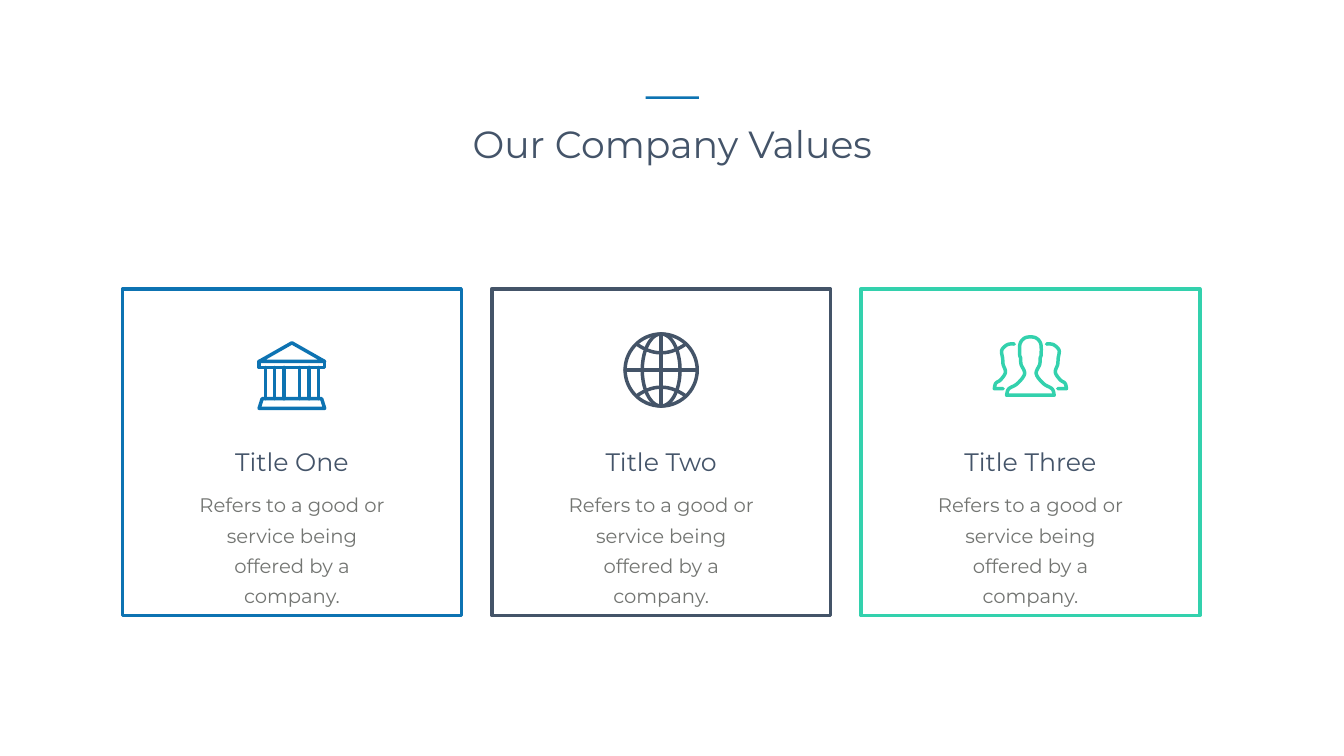
import dataclasses
import math

import lxml.etree
import pptx
import pptx.dml.color
import pptx.enum.shapes
import pptx.enum.text
import pptx.oxml.ns
import pptx.util

Pt = pptx.util.Pt


@dataclasses.dataclass(frozen=True)
class Theme:
    font: str = "Montserrat"
    blue: str = "0D73B2"
    slate: str = "445468"
    green: str = "33D1AD"
    heading: str = "445469"
    body: str = "737572"
    title_size: float = 54
    label_size: float = 36
    body_size: float = 28
    stroke: float = 5


THEME = Theme()


def rgb(value):
    return pptx.dml.color.RGBColor.from_string(value)


def place(item, left, top, width, height):
    item.left, item.top, item.width, item.height = map(Pt, (left, top, width, height))


def write(box, text, *, size, color, inset=(7.2, 3.6), wrap=True, leading=None):
    frame = box.text_frame
    frame.text = text
    frame.word_wrap = wrap
    frame.auto_size = pptx.enum.text.MSO_AUTO_SIZE.NONE
    frame.vertical_anchor = pptx.enum.text.MSO_ANCHOR.TOP
    frame.margin_left = frame.margin_right = Pt(inset[0])
    frame.margin_top = frame.margin_bottom = Pt(inset[1])
    para = frame.paragraphs[0]
    para.alignment = pptx.enum.text.PP_ALIGN.CENTER
    para.space_before = Pt(0)
    para.line_spacing = Pt(leading) if leading else 1.0
    para.font.name = THEME.font
    para.font.size = Pt(size)
    para.font.color.rgb = rgb(color)


def add_rectangle(page, left, top, width, height, fill=None, line=None):
    shape = page.shapes.add_shape(
        pptx.enum.shapes.MSO_SHAPE.RECTANGLE, *map(Pt, (left, top, width, height)))
    shape.shadow.inherit = False
    if fill:
        shape.fill.solid()
        shape.fill.fore_color.rgb = rgb(fill)
    else:
        shape.fill.background()
    if line:
        shape.line.width = Pt(THEME.stroke)
        shape.line.color.rgb = rgb(line)
    else:
        shape.line.fill.background()


def mirror(points):
    return [(-x, y) for x, y in points]


def smooth(points, steps=6):
    """Return a Catmull-Rom curve through the points."""
    padded = [points[0], *points, points[-1]]
    curve = []
    for a, b, c, d in zip(padded, padded[1:], padded[2:], padded[3:]):
        for step in range(steps):
            t = step / steps
            curve.append(tuple(
                (2 * q + (r - p) * t + (2 * p - 5 * q + 4 * r - s) * t ** 2
                 + (3 * q - p - 3 * r + s) * t ** 3) / 2
                for p, q, r, s in zip(a, b, c, d)))
    return curve + [points[-1]]


def ellipse(center_y, radius_x, radius_y, steps=60):
    angles = [2 * math.pi * step / steps for step in range(steps + 1)]
    return [(radius_x * math.cos(a), center_y + radius_y * math.sin(a)) for a in angles]


def bank_strokes():
    roof = [(0, 2.2), (46.8, 28.8), (-46.8, 28.8), (0, 2.2)]
    beam = [(-46.8, 28.8), (-46.8, 37.4), (46.8, 37.4), (46.8, 28.8)]
    base = [(-42.5, 82), (42.5, 82), (46.8, 95.8), (-46.8, 95.8), (-42.5, 82)]
    columns = [[(side * x, 37.4), (side * x, 82)]
               for x in (38, 24.8, 11.2) for side in (-1, 1)]
    return [roof, beam, base, *columns]


def globe_strokes():
    middle, radius = 54, 51.5
    parallels = [
        [(x, middle + side * (24.5 + 12.5 * (x / 35) ** 2)) for x in range(-35, 36, 5)]
        for side in (-1, 1)]
    return [
        ellipse(middle, radius, radius),
        ellipse(middle, 27, radius),
        [(0, middle - radius), (0, middle + radius)],
        [(-radius, middle), (radius, middle)],
        *parallels,
    ]


def people_strokes():
    front = smooth([(0, 2.5), (8.5, 4.5), (14.8, 12.6), (15.3, 28), (14, 33),
                    (13.3, 42), (8.3, 55.5), (18.7, 69.5), (31, 77), (34, 86)])
    behind = smooth([(23, 13), (26.6, 12.6), (34, 14.4), (41, 22), (39.6, 33.5),
                     (39, 42), (35.6, 53.3), (42.5, 64), (49.5, 69), (51.5, 76.7)])
    behind.append((39, 76.7))
    return [front + mirror(front)[::-1], behind, mirror(behind)]


def add_icon(page, center, top, strokes, color):
    """Draw the strokes as one outline, with x measured from the centre."""
    contours = [[(Pt(center + x), Pt(top + y)) for x, y in stroke] for stroke in strokes]
    builder = page.shapes.build_freeform(*contours[0][0], scale=1.0)
    for number, contour in enumerate(contours):
        if number:
            builder.move_to(*contour[0])
        builder.add_line_segments(contour[1:], close=False)
    icon = builder.convert_to_shape()
    icon.shadow.inherit = False
    icon.fill.background()
    icon.line.width = Pt(THEME.stroke)
    icon.line.color.rgb = rgb(color)
    outline = icon.line.fill._xPr
    outline.set("cap", "rnd")
    lxml.etree.SubElement(outline, pptx.oxml.ns.qn("a:round"))


def add_heading(page, left, top, width, text):
    add_rectangle(page, left + (width - 76.3) / 2, top, 76.3, 3.6, fill=THEME.blue)
    title = page.shapes.title
    place(title, left, top + 31, width, 72.7)
    write(title, text, size=THEME.title_size, color=THEME.heading, wrap=False)


def add_card(page, left, top, width, height, *, label, body, color, strokes, icon_top):
    center = left + width / 2
    add_rectangle(page, left, top, width, height, line=color)
    add_icon(page, center, top + icon_top, strokes, color)
    label_box = page.shapes.add_textbox(
        *map(Pt, (center - 147.25, top + 221.8, 294.5, 51)))
    write(label_box, label, size=THEME.label_size, color=THEME.heading)
    body_box = page.shapes.add_textbox(
        *map(Pt, (center - 162.35, top + 274.3, 324.7, 144)))
    write(body_box, body, size=THEME.body_size, color=THEME.body,
          inset=(17.3, 8.6), leading=43)


def add_cards(page, left, top, width, height, gap):
    body = "Refers to a good or service being offered by a company."
    cards = [
        ("Title One", THEME.blue, bank_strokes(), 75),
        ("Title Two", THEME.slate, globe_strokes(), 62),
        ("Title Three", THEME.green, people_strokes(), 66),
    ]
    card_width = (width - gap * (len(cards) - 1)) / len(cards)
    for number, (label, color, strokes, icon_top) in enumerate(cards):
        add_card(page, left + number * (card_width + gap), top, card_width, height,
                 label=label, body=body, color=color, strokes=strokes, icon_top=icon_top)


def main():
    deck = pptx.Presentation()
    deck.slide_width, deck.slide_height = Pt(1919.5), Pt(1080)
    page = deck.slides.add_slide(deck.slide_layouts.get_by_name("Title Only"))
    add_heading(page, 662.4, 137.5, 595.4, "Our Company Values")
    add_cards(page, 175, 412.6, 1538.6, 466.6, gap=43.5)
    deck.save("out.pptx")


if __name__ == "__main__":
    main()
